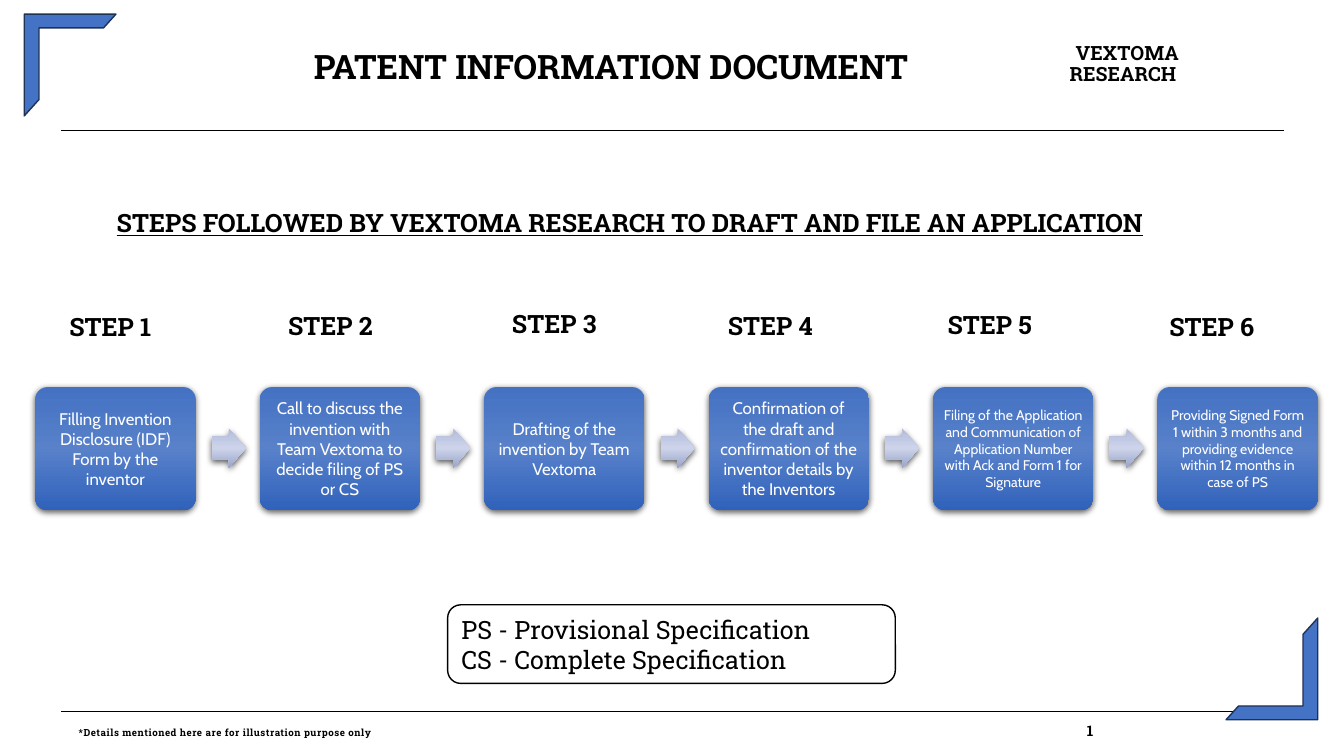
from pptx import Presentation
from pptx.dml.color import RGBColor
from pptx.enum.shapes import MSO_CONNECTOR, MSO_SHAPE
from pptx.enum.text import MSO_ANCHOR, PP_ALIGN
from pptx.oxml import parse_xml
from pptx.oxml.ns import nsdecls
from pptx.util import Inches, Pt

BLACK = RGBColor(0x00, 0x00, 0x00)
WHITE = RGBColor(0xFF, 0xFF, 0xFF)
FRAME_BLUE = RGBColor(0x44, 0x72, 0xC4)
FRAME_EDGE = RGBColor(0x1E, 0x32, 0x56)
STEP_GRADIENT = [RGBColor(0x44, 0x71, 0xC2), RGBColor(0x58, 0x81, 0xCA), RGBColor(0x30, 0x62, 0xBB)]
ARROW_GRADIENT = [RGBColor(0xB1, 0xBB, 0xDB), RGBColor(0xCD, 0xD4, 0xEA), RGBColor(0x98, 0xA4, 0xCB)]

LEFT, CENTER = PP_ALIGN.LEFT, PP_ALIGN.CENTER
TOP, MIDDLE = MSO_ANCHOR.TOP, MSO_ANCHOR.MIDDLE
ROUNDED = MSO_SHAPE.ROUNDED_RECTANGLE
ARROW = MSO_SHAPE.RIGHT_ARROW
HALF_FRAME = MSO_SHAPE.HALF_FRAME
STRAIGHT = MSO_CONNECTOR.STRAIGHT

SLAB = "Roboto Slab"
HEADING = {"name": SLAB, "size": Pt(18), "bold": True}
STEP_LEFT, STEP_TOP, STEP_WIDTH, STEP_HEIGHT = 0.35, 3.84, 1.59, 1.22
STEP_PITCH = 2.226
ARROW_OFFSET = 1.75

STEPS = [
    ("STEP 1", 0.59, 3.04, 12, "Filling Invention Disclosure (IDF) Form by the inventor"),
    ("STEP 2", 2.76, 3.03, 12, "Call to discuss the invention with Team Vextoma to decide filing of PS or CS"),
    ("STEP 3", 4.98, 3.01, 12, "Drafting of the invention by Team Vextoma"),
    ("STEP 4", 7.12, 3.03, 12,
     "Confirmation of the draft and confirmation of the inventor details by the Inventors"),
    ("STEP 5", 9.3, 3.02, 10,
     "Filing of the Application and Communication of Application Number with Ack and Form 1 for Signature"),
    ("STEP 6", 11.5, 3.04, 10,
     "Providing Signed Form 1 within 3 months and providing evidence within 12 months in case of PS"),
]


def set_values(target, values):
    for key, value in values.items():
        setattr(target, key, value)


def write(shape, lines, font, color=BLACK, align=LEFT, anchor=TOP, inset=(0.1, 0.05), spacing=None):
    side, edge = (Inches(length) for length in inset)
    frame = shape.text_frame
    set_values(frame, {"word_wrap": True, "vertical_anchor": anchor, "margin_left": side,
                       "margin_right": side, "margin_top": edge, "margin_bottom": edge})
    for index, line in enumerate(lines):
        paragraph = frame.add_paragraph() if index else frame.paragraphs[0]
        set_values(paragraph, {"alignment": align, "line_spacing": spacing})
        run = paragraph.add_run()
        run.text = line
        set_values(run.font, font)
        run.font.color.rgb = color
    return frame.paragraphs[0]


def add_text(slide, box, text, font, **layout):
    textbox = slide.shapes.add_textbox(*map(Inches, box))
    return write(textbox, [text], font, **layout)


def add_outlined(slide, kind, box, fill, edge, adjustments=()):
    shape = slide.shapes.add_shape(kind, *map(Inches, box))
    shape.shadow.inherit = False
    for index, value in enumerate(adjustments):
        shape.adjustments[index] = value
    shape.fill.solid()
    shape.fill.fore_color.rgb = fill
    shape.line.color.rgb = edge
    shape.line.width = Pt(1)
    return shape


def add_glossy(slide, kind, box, gradient, adjustments):
    shape = slide.shapes.add_shape(kind, *map(Inches, box))
    for index, value in enumerate(adjustments):
        shape.adjustments[index] = value
    stops = "".join(f'<a:gs pos="{index * 50000}"><a:srgbClr val="{color}"/></a:gs>'
                    for index, color in enumerate(gradient))
    properties = shape.element.spPr
    properties.append(parse_xml(f'<a:gradFill {nsdecls("a")} rotWithShape="1"><a:gsLst>{stops}</a:gsLst>'
                                '<a:lin ang="5400000" scaled="0"/></a:gradFill>'))
    shape.line.fill.background()
    properties.append(parse_xml(
        f'<a:effectLst {nsdecls("a")}><a:outerShdw blurRad="57150" dist="19050" dir="5400000" '
        'algn="ctr" rotWithShape="0"><a:srgbClr val="000000"><a:alpha val="63000"/></a:srgbClr>'
        '</a:outerShdw></a:effectLst>'))
    return shape


def add_rule(slide, y):
    rule = slide.shapes.add_connector(STRAIGHT, Inches(0.61), Inches(y), Inches(12.73), Inches(y))
    rule.line.color.rgb = BLACK
    rule.line.width = Pt(0.48)
    rule.element.spPr.append(parse_xml(f'<a:effectLst {nsdecls("a")}/>'))


def add_corner(slide, left, top, rotation):
    corner = add_outlined(slide, HALF_FRAME, (left, top, 0.91, 1.01), FRAME_BLUE, FRAME_EDGE, (0.15, 0.161))
    corner.rotation = rotation


def add_header(slide):
    add_text(slide, (1.55, 0.53, 9.02, 0.35), "PATENT INFORMATION DOCUMENT",
             {**HEADING, "size": Pt(24)}, align=CENTER, inset=(0, 0), spacing=0.82)
    company = add_text(slide, (10.6, 0.44, 1.2, 0.43), "VEXTOMA RESEARCH",
                       {**HEADING, "size": Pt(14)}, inset=(0, 0), spacing=0.87)
    indents = company._p.get_or_add_pPr()
    indents.set("marL", str(Inches(0.01)))
    indents.set("indent", str(Inches(0.06)))


def add_step(slide, index, label, label_left, label_top, size, description):
    left = STEP_LEFT + index * STEP_PITCH
    card = add_glossy(slide, ROUNDED, (left, STEP_TOP, STEP_WIDTH, STEP_HEIGHT), STEP_GRADIENT, (0.1,))
    inset = 0.08 if size == 12 else 0.07
    write(card, [description], {"name": "Cabin", "size": Pt(size)}, color=WHITE,
          align=CENTER, anchor=MIDDLE, inset=(inset, inset))
    if index < len(STEPS) - 1:
        add_glossy(slide, ARROW, (left + ARROW_OFFSET, 4.25, 0.34, 0.39), ARROW_GRADIENT, (0.6, 0.5))
    add_text(slide, (label_left, label_top, 1.3, 0.4), label, HEADING)


def add_footer(slide):
    footer = add_text(slide, (0.78, 7.19, 11.92, 0.22), "*Details mentioned here are for illustration purpose only",
                      {**HEADING, "size": Pt(7)}, inset=(0, 0), spacing=0.84)
    footer.runs[0].font._element.set("spc", "40")
    footer._p.get_or_add_pPr().append(parse_xml(
        f'<a:tabLst {nsdecls("a")}><a:tab pos="{Inches(10)}" algn="l"/></a:tabLst>'))
    page_number = footer.add_run()
    page_number.text = "\t1"
    set_values(page_number.font, {**HEADING, "size": Pt(10.5)})
    page_number.font.color.rgb = BLACK


def main():
    presentation = Presentation()
    presentation.slide_width = Inches(13.33)
    presentation.slide_height = Inches(7.5)
    slide = presentation.slides.add_slide(presentation.slide_layouts[6])

    for y in (1.29, 7.06):
        add_rule(slide, y)
    add_header(slide)
    add_text(slide, (1.06, 2.01, 11.2, 0.4),
             "STEPS FOLLOWED BY VEXTOMA RESEARCH TO DRAFT AND FILE AN APPLICATION",
             {**HEADING, "underline": True})
    for index, step in enumerate(STEPS):
        add_step(slide, index, *step)
    legend = add_outlined(slide, ROUNDED, (4.44, 6, 4.44, 0.78), WHITE, BLACK)
    write(legend, ["PS - Provisional Specification", "CS - Complete Specification"],
          {"name": SLAB, "size": Pt(18)}, anchor=MIDDLE)
    add_corner(slide, 0.24, 0.14, 0)
    add_corner(slide, 12.16, 6.13, 180)
    add_footer(slide)
    presentation.save("out.pptx")


if __name__ == "__main__":
    main()
